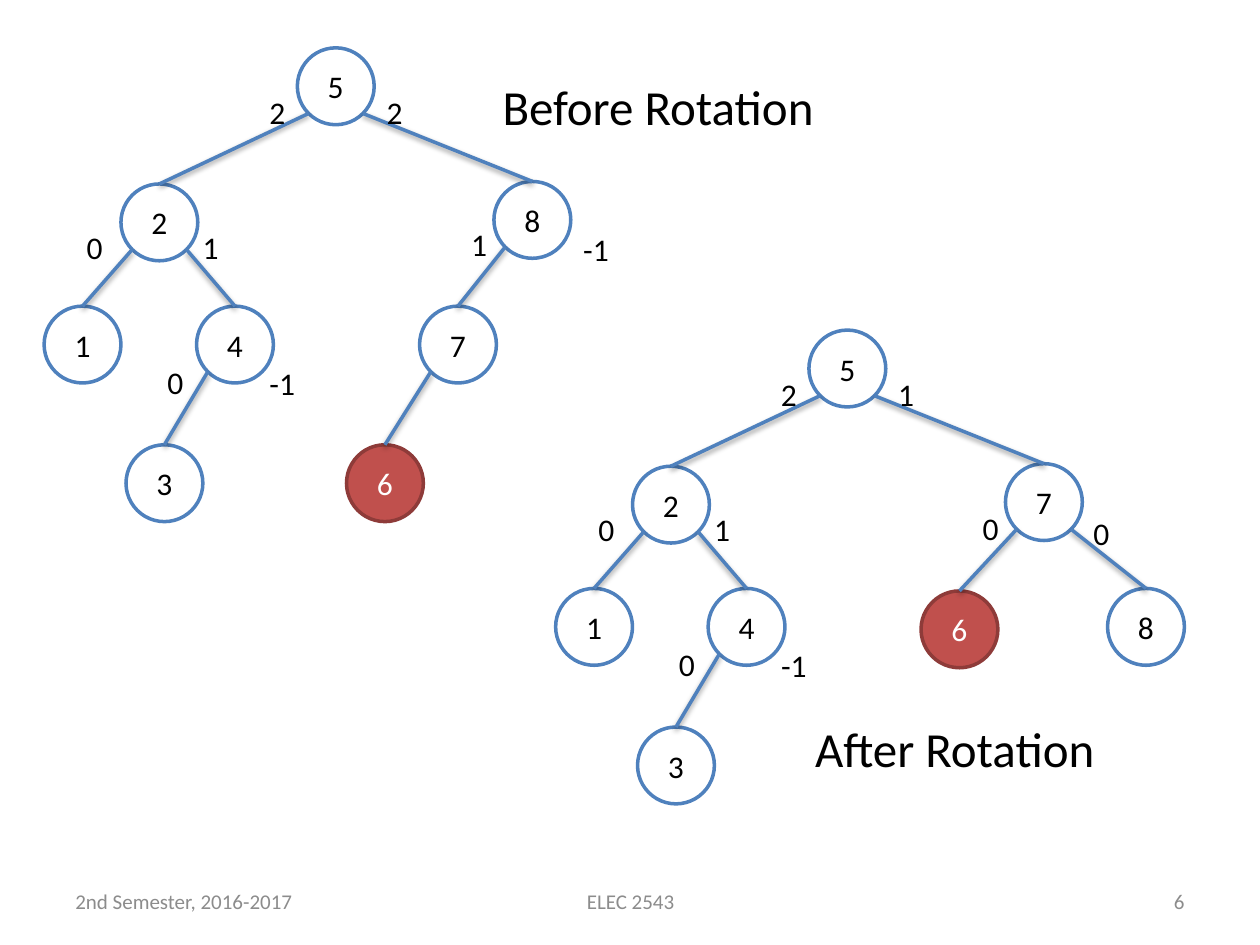
from math import sqrt
from lxml import etree
from pptx import Presentation
from pptx.dml.color import RGBColor
from pptx.enum.shapes import MSO_CONNECTOR, MSO_SHAPE
from pptx.enum.text import MSO_ANCHOR, PP_ALIGN
from pptx.oxml import parse_xml
from pptx.util import Inches, Pt

LEFT, CENTER, RIGHT = PP_ALIGN.LEFT, PP_ALIGN.CENTER, PP_ALIGN.RIGHT
TOP, MIDDLE = MSO_ANCHOR.TOP, MSO_ANCHOR.MIDDLE
ELLIPSE, STRAIGHT = MSO_SHAPE.OVAL, MSO_CONNECTOR.STRAIGHT

FONT = "Calibri"
BLACK, WHITE, GRAY, BLUE = "000000", "FFFFFF", "8C8C8C", "4F81BD"
RED, DARK_RED = "C0504D", "8E3B39"
NEW_KEY = "6"
DIAMETER = 0.61
LABEL_HEIGHT = 0.4
SHADOW = (
    '<a:effectLst xmlns:a="http://schemas.openxmlformats.org/drawingml/2006/main">'
    '<a:outerShdw blurRad="40000" dist="20000" dir="5400000" rotWithShape="0">'
    '<a:srgbClr val="000000"><a:alpha val="38000"/></a:srgbClr>'
    '</a:outerShdw></a:effectLst>'
)

SHARED_NODES = {
    "5": (2.36, 0.38), "2": (0.96, 1.46), "1": (0.35, 2.43),
    "4": (1.56, 2.43), "3": (1.0, 3.53),
}
SHARED_EDGES = [("5", "2"), ("2", "1"), ("2", "4"), ("4", "3")]
SHARED_LABELS = [
    ("2", 2.04, 0.69), ("0", 0.59, 1.76), ("1", 1.51, 1.76),
    ("0", 1.23, 2.83), ("-1", 2.04, 2.84),
]
TREES = [
    {
        "offset": (0, 0),
        "nodes": {"8": (3.92, 1.44), "7": (3.33, 2.43), "6": (2.75, 3.53)},
        "edges": [("5", "8"), ("8", "7"), ("7", "6")],
        "labels": [("2", 2.97, 0.69), ("1", 3.64, 1.74), ("-1", 4.53, 1.78)],
    },
    {
        "offset": (4.06, 2.24),
        "nodes": {"7": (3.92, 1.44), "6": (3.25, 2.45), "8": (4.73, 2.43)},
        "edges": [("5", "7"), ("7", "6"), ("7", "8")],
        "labels": [("1", 2.97, 0.69), ("0", 3.64, 1.75), ("0", 4.52, 1.79)],
    },
]
TITLES = [("Before Rotation", 3.89, 0.56, 2.7), ("After Rotation", 6.37, 5.65, 2.45)]
FOOTERS = [
    ("2nd Semester, 2016-2017", 0.5, 2.33, LEFT),
    ("ELEC 2543", 3.42, 3.17, CENTER),
    ("6", 7.17, 2.33, RIGHT),
]


def color(value):
    return RGBColor.from_string(value)


def write(shape, text, size, ink, align, anchor):
    frame = shape.text_frame
    frame.vertical_anchor = anchor
    para = frame.paragraphs[0]
    para.alignment = align
    span = para.add_run()
    span.text = text
    span.font.name = FONT
    span.font.size = Pt(size)
    span.font.color.rgb = color(ink)


def add_text(text, left, top, width, height, size, ink=BLACK,
             align=LEFT, anchor=TOP, wrap=False):
    box = page.shapes.add_textbox(*map(Inches, (left, top, width, height)))
    box.text_frame.word_wrap = wrap
    write(box, text, size, ink, align, anchor)


def add_node(key, left, top):
    fill, line, ink = (RED, DARK_RED, WHITE) if key == NEW_KEY else (WHITE, BLUE, BLACK)
    node = page.shapes.add_shape(ELLIPSE, *map(Inches, (left, top, DIAMETER, DIAMETER)))
    node.shadow.inherit = False
    node.fill.solid()
    node.fill.fore_color.rgb = color(fill)
    node.line.color.rgb = color(line)
    node.line.width = Pt(2)
    write(node, key, 18, ink, CENTER, MIDDLE)


def add_edge(parent, child):
    radius = DIAMETER / 2
    reach = radius / sqrt(2)
    side = -reach if child[0] < parent[0] else reach
    start = (parent[0] + radius + side, parent[1] + radius + reach)
    end = (child[0] + radius, child[1])
    edge = page.shapes.add_connector(STRAIGHT, *map(Inches, start + end))
    edge.line.color.rgb = color(BLUE)
    edge.line.width = Pt(2)
    edge._element.spPr.append(parse_xml(SHADOW))


def add_tree(offset, nodes, edges, labels):
    across, down = offset
    places = {key: (x + across, y + down) for key, (x, y) in (SHARED_NODES | nodes).items()}
    for key, place in places.items():
        add_node(key, *place)
    for parent, child in SHARED_EDGES + edges:
        add_edge(places[parent], places[child])
    for text, x, y in SHARED_LABELS + labels:
        width = 0.41 if len(text) > 1 else 0.33
        add_text(text, x + across, y + down, width, LABEL_HEIGHT, 18)


deck = Presentation()
deck.slide_width, deck.slide_height = Inches(10), Inches(7.5)
page = deck.slides.add_slide(deck.slide_layouts[6])

for text, left, width, align in FOOTERS:
    add_text(text, left, 6.95, width, 0.4, 12, GRAY, align, MIDDLE, True)
for tree in TREES:
    add_tree(**tree)
for text, left, top, width in TITLES:
    add_text(text, left, top, width, 0.57, 28)

deck.save("out.pptx")
